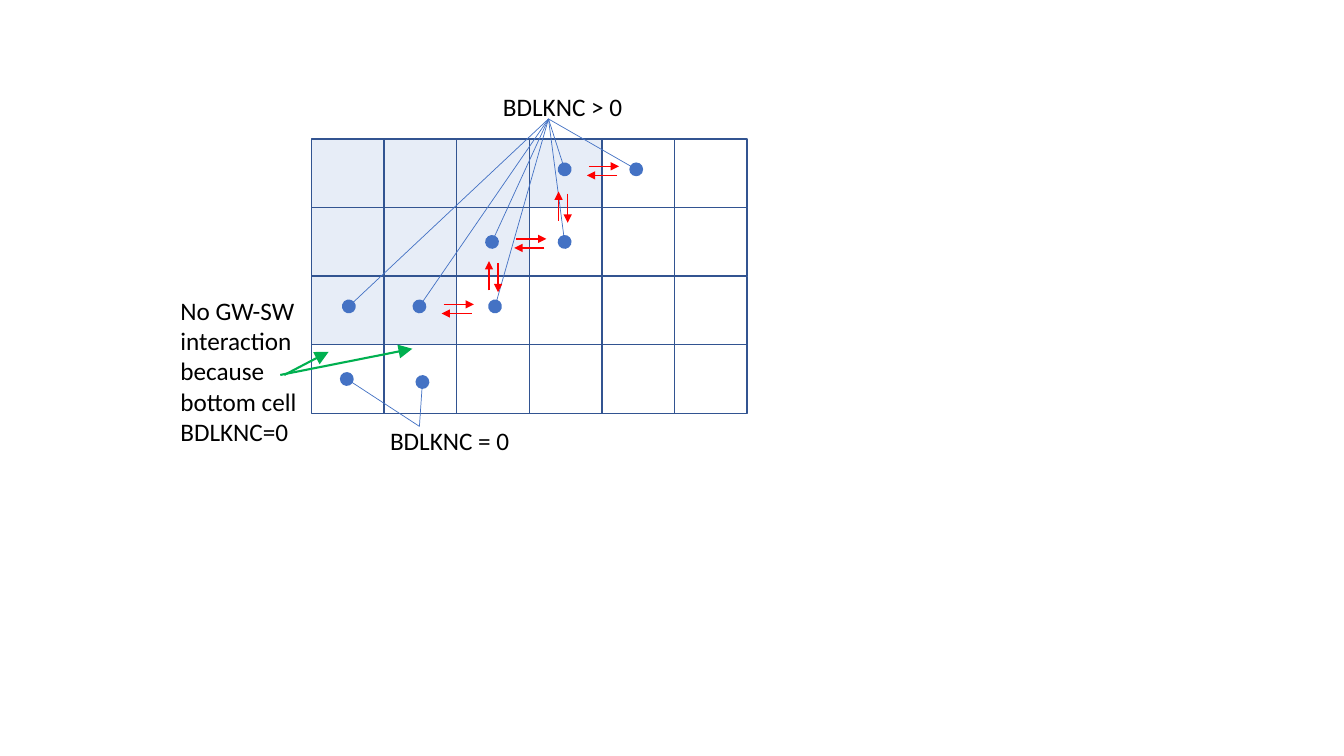
from lxml import etree
from pptx import Presentation
from pptx.dml.color import RGBColor
from pptx.enum import shapes, text
from pptx.oxml.ns import qn
from pptx.util import Emu, Pt

EMU_PER_PX = 9144  # 100 px to the inch
BLUE, NAVY, PALE = "4472C4", "325491", "DAE3F3"
RED, GREEN, BLACK = "FF0000", "00B050", "000000"


def px(length):
    return Emu(length * EMU_PER_PX)


def rgb(value):
    return RGBColor.from_string(value)


class Diagram:
    font, size = "Calibri", Pt(18)

    def __init__(self, page):
        self.page = page

    def cell(self, left, top, width, height, shaded):
        box = self.page.shapes.add_shape(
            shapes.MSO_SHAPE.RECTANGLE, px(left), px(top), px(width), px(height))
        box.shadow.inherit = False
        box.line.color.rgb = rgb(NAVY)
        box.line.width = Pt(1)
        if shaded:
            box.fill.solid()
            box.fill.fore_color.rgb = rgb(PALE)
            colour = box.element.spPr.find(".//" + qn("a:srgbClr"))
            etree.SubElement(colour, qn("a:alpha"), val="63000")
        else:
            box.fill.background()

    def label(self, words, left, top, width, height):
        box = self.page.shapes.add_textbox(px(left), px(top), px(width), px(height))
        frame = box.text_frame
        frame.word_wrap = True
        frame.auto_size = text.MSO_AUTO_SIZE.SHAPE_TO_FIT_TEXT
        span = frame.paragraphs[0].add_run()
        span.text = words
        span.font.name, span.font.size = self.font, self.size
        span.font.color.rgb = rgb(BLACK)

    def line(self, start, finish, colour, points, end, mark, mark_size):
        """Draw a line whose end ("headEnd" or "tailEnd") carries a mark."""
        connector = self.page.shapes.add_connector(
            shapes.MSO_CONNECTOR.STRAIGHT, *map(px, start + finish))
        connector.line.color.rgb = rgb(colour)
        connector.line.width = Pt(points)
        properties = connector.element.spPr
        etree.SubElement(properties.find(qn("a:ln")), qn("a:" + end),
                         type=mark, w=mark_size, len=mark_size)
        etree.SubElement(properties, qn("a:effectLst"))

    def node(self, centre, target):
        """Draw a dot with a thin leader to its label."""
        self.line(centre, target, BLUE, 0.5, "headEnd", "oval", "lg")

    def arrow(self, start, finish, colour=RED, points=1, mark_size="med"):
        self.line(start, finish, colour, points, "tailEnd", "triangle", mark_size)

    def horizontal_exchange(self, x, y):
        self.arrow((x, y), (x + 30, y))
        self.arrow((x + 28, y + 9), (x - 2, y + 9))

    def vertical_exchange(self, x, y):
        self.arrow((x, y), (x, y + 29))
        self.arrow((x - 9, y + 27), (x - 9, y - 2))


def main():
    deck = Presentation()
    deck.slide_width, deck.slide_height = px(1333), px(750)
    diagram = Diagram(deck.slides.add_slide(deck.slide_layouts[6]))

    columns, width, height = 6, 72, 68
    shaded_per_row = (4, 3, 2, 0)
    for row, shaded in enumerate(shaded_per_row):
        for column in range(columns):
            diagram.cell(309 + column * width, 138 + row * height,
                         width, height, column < shaded)

    diagram.label("BDLKNC > 0", 489, 86, 377, 40)
    for centre in ((560, 168), (631, 168), (488, 240), (560, 240),
                   (416, 304), (491, 304), (346, 304)):
        diagram.node(centre, (544, 118))

    diagram.label("BDLKNC = 0", 377, 417, 151, 40)
    for centre in ((344, 376), (419, 379)):
        diagram.node(centre, (416, 423))

    for x, y in ((440, 302), (512, 237), (584, 165)):
        diagram.horizontal_exchange(x, y)
    for x, y in ((494, 261), (563, 192)):
        diagram.vertical_exchange(x, y)

    diagram.label("No GW-SW interaction because bottom cell BDLKNC=0",
                  169, 288, 151, 162)
    diagram.arrow((282, 372), (326, 349), GREEN, 1.5, "lg")
    diagram.arrow((278, 372), (409, 346), GREEN, 1.5, "lg")

    deck.save("out.pptx")


if __name__ == "__main__":
    main()
